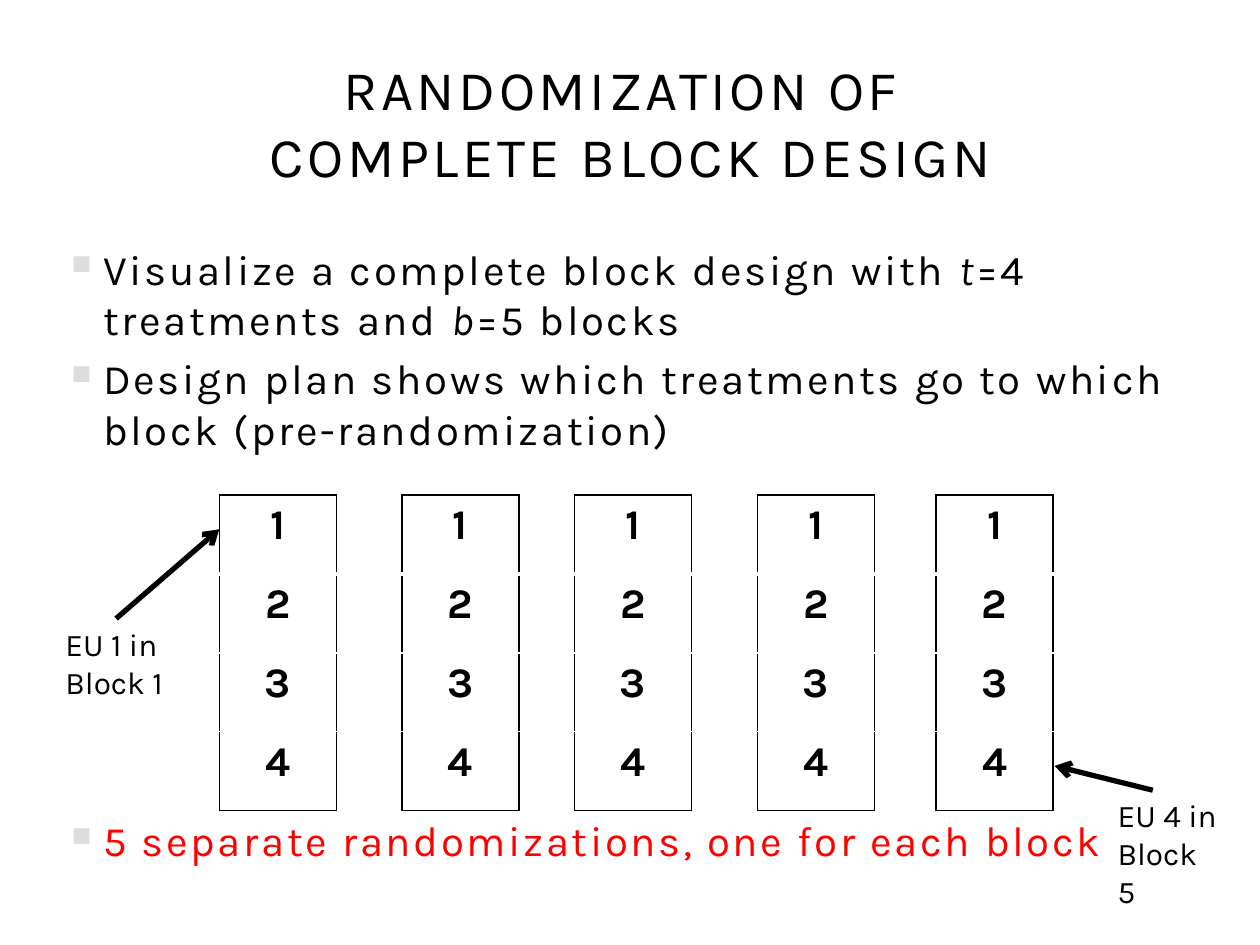
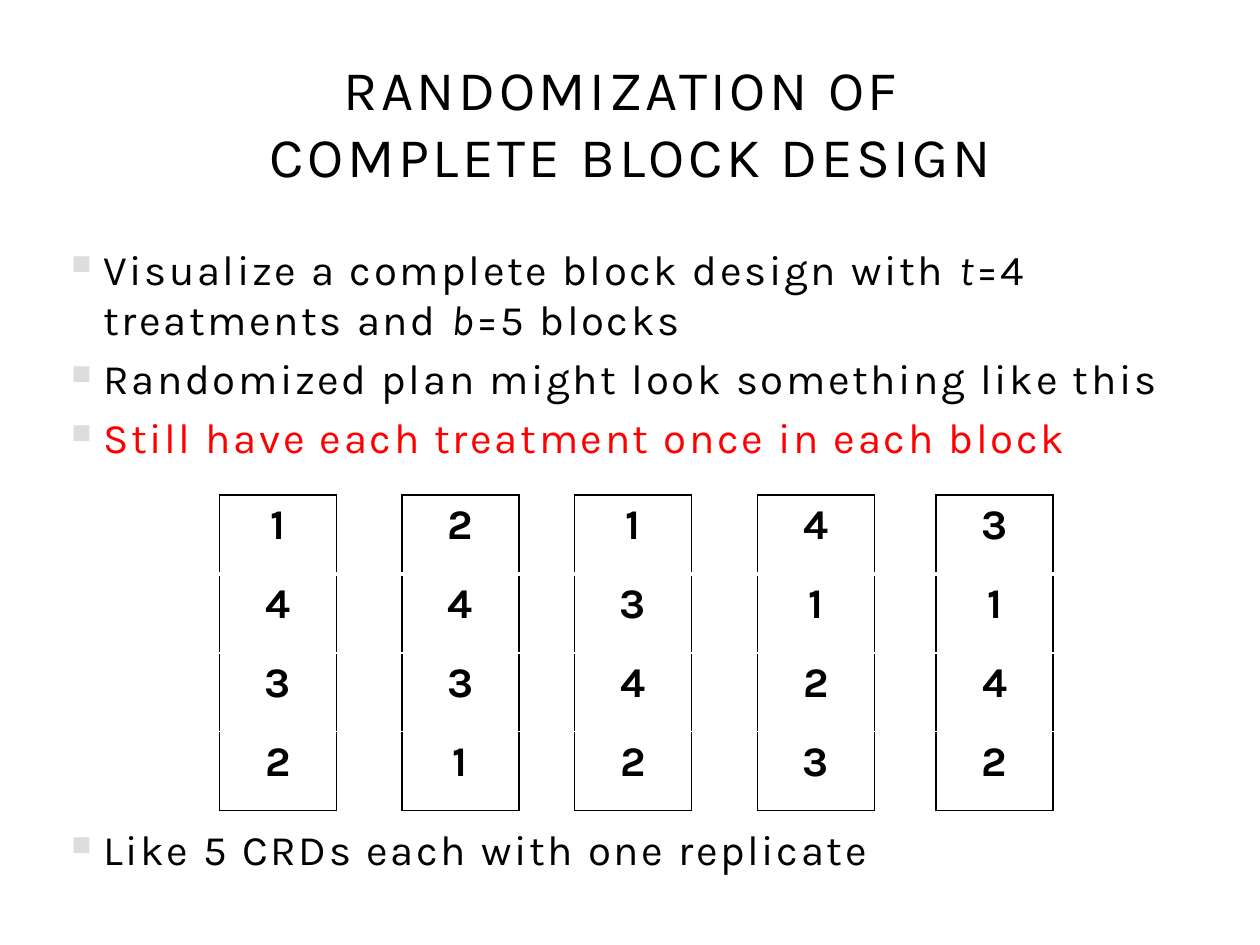
import pptx
import pptx.dml.color
import pptx.enum.shapes
import pptx.enum.text
import pptx.oxml
import pptx.oxml.ns
import pptx.util
import lxml.etree

Cm = pptx.util.Cm
Pt = pptx.util.Pt
qn = pptx.oxml.ns.qn

# Shared look
FONT = "Karla"
BLACK, WHITE, RED, BULLET_GREY = "000000", "FFFFFF", "FF0000", "DDDDDD"
TITLE = "RANDOMIZATION OF \vCOMPLETE BLOCK DESIGN"
MARGIN_LEFT = Cm(1.07)

# Block grid
BLOCK_LEFTS = [4.42, 8.1, 11.58, 15.27, 18.87]
BLOCK_TOP, BLOCK_WIDTH, UNIT_HEIGHT = 9.98, 2.36, 1.59
UNITS = 4

# Paragraphs are lists of (text, italic); the last one stands below the blocks
VISUALIZE = [("Visualize a complete block design with ", False), ("t", True),
             ("=4 treatments and ", False), ("b", True), ("=5 blocks", False)]
PLANS = [
    {
        "points": [
            (VISUALIZE, BLACK),
            ([("Design plan shows which treatments go to which block "
               "(pre-randomization)", False)], BLACK),
            ([("5 separate randomizations, one for each block", False)], RED),
        ],
        "blocks": ["1234"] * 5,
        # label lines, label left and top, arrow start and end
        "callouts": [
            ("EU 1 in\nBlock 1", (1.07, 12.47), (2.34, 12.47), (4.42, 10.67)),
            ("EU 4 in\nBlock 5", (22.28, 15.93), (23.24, 15.93), (21.26, 15.44)),
        ],
    },
    {
        "points": [
            (VISUALIZE, BLACK),
            ([("Randomized plan might look something like this", False)], BLACK),
            ([("Still have each treatment once in each block", False)], RED),
            ([("Like 5 CRDs each with one replicate", False)], BLACK),
        ],
        "blocks": ["1432", "2431", "1342", "4123", "3142"],
        "callouts": [],
    },
]


def rgb(hex_code):
    return pptx.dml.color.RGBColor.from_string(hex_code)


def style_run(run, size, color=BLACK, bold=False, italic=False, spacing=0):
    font = run.font
    font.name, font.size = FONT, Pt(size)
    font.bold, font.italic = bold, italic
    font.color.rgb = rgb(color)
    if spacing:
        run._r.get_or_add_rPr().set("spc", str(int(spacing * 100)))


deck = pptx.Presentation()
deck.slide_width, deck.slide_height = Cm(25.4), Cm(19.05)
title_only = deck.slide_layouts[5]

for plan in PLANS:
    slide = deck.slides.add_slide(title_only)

    # Title
    title = slide.shapes.title
    title.left, title.top = MARGIN_LEFT, Cm(0.99)
    title.width, title.height = Cm(23.29), Cm(2.92)
    title.fill.solid()
    title.fill.fore_color.rgb = rgb(WHITE)
    title.text_frame.text = TITLE
    title.text_frame.auto_size = pptx.enum.text.MSO_AUTO_SIZE.NONE
    title.text_frame.vertical_anchor = pptx.enum.text.MSO_ANCHOR.MIDDLE
    heading = title.text_frame.paragraphs[0]
    heading.alignment = pptx.enum.text.PP_ALIGN.CENTER
    for run in heading.runs:
        style_run(run, 32, spacing=2)

    # Bulleted points, with room for the blocks before the last one
    points = slide.shapes.add_textbox(MARGIN_LEFT, Cm(4.78), Cm(23.8), Cm(14.27))
    points.text_frame.word_wrap = True
    last = len(plan["points"]) - 1
    for index, (pieces, color) in enumerate(plan["points"]):
        frame = points.text_frame
        point = frame.add_paragraph() if index else frame.paragraphs[0]
        point.space_before = Pt(206.5 if index == last else 5)
        for text, italic in pieces:
            run = point.add_run()
            run.text = text
            style_run(run, 24, color, italic=italic, spacing=1.5)
        properties = point._p.get_or_add_pPr()
        properties.set("marL", str(Cm(0.76)))
        properties.set("indent", str(-Cm(0.64)))
        bullet_color = lxml.etree.SubElement(properties, qn("a:buClr"))
        lxml.etree.SubElement(bullet_color, qn("a:srgbClr"), val=BULLET_GREY)
        lxml.etree.SubElement(properties, qn("a:buSzPct"), val="65000")
        lxml.etree.SubElement(properties, qn("a:buChar"), char="■")

    # Blocks: one column of experimental units each
    for left, treatments in zip(BLOCK_LEFTS, plan["blocks"]):
        block = slide.shapes.add_table(
            UNITS, 1, Cm(left), Cm(BLOCK_TOP), Cm(BLOCK_WIDTH),
            Cm(UNIT_HEIGHT * UNITS)).table
        block.first_row = block.horz_banding = False
        for row, treatment in enumerate(treatments):
            block.rows[row].height = Cm(UNIT_HEIGHT)
            unit = block.cell(row, 0)
            unit.fill.background()
            unit.text_frame.text = treatment
            number = unit.text_frame.paragraphs[0]
            number.alignment = pptx.enum.text.PP_ALIGN.CENTER
            style_run(number.runs[0], 24, bold=True)

            # Black outline, white gaps between units, the first gap wider
            borders = [
                ("a:lnL", BLACK, 1),
                ("a:lnR", BLACK, 1),
                ("a:lnT", BLACK if row == 0 else WHITE, 3 if row == 1 else 1),
                ("a:lnB", BLACK if row == UNITS - 1 else WHITE, 3 if row == 0 else 1),
            ]
            cell_properties = unit._tc.get_or_add_tcPr()
            for position, (side, color, width) in enumerate(borders):
                border = lxml.etree.Element(qn(side), w=str(Pt(width)))
                border_fill = lxml.etree.SubElement(border, qn("a:solidFill"))
                lxml.etree.SubElement(border_fill, qn("a:srgbClr"), val=color)
                cell_properties.insert(position, border)

    # Callouts: a label and an arrow to its unit
    for text, corner, start, end in plan["callouts"]:
        label = slide.shapes.add_textbox(
            Cm(corner[0]), Cm(corner[1]), Cm(2.54), Cm(1.8))
        label.text_frame.word_wrap = True
        label.text_frame.auto_size = pptx.enum.text.MSO_AUTO_SIZE.SHAPE_TO_FIT_TEXT
        label.text_frame.text = text
        for line in label.text_frame.paragraphs:
            style_run(line.runs[0], 18)

        arrow = slide.shapes.add_connector(
            pptx.enum.shapes.MSO_CONNECTOR.STRAIGHT,
            Cm(start[0]), Cm(start[1]), Cm(end[0]), Cm(end[1]))
        arrow.line.color.rgb = rgb(BLACK)
        arrow.line.width = Pt(3)
        lxml.etree.SubElement(arrow.line._get_or_add_ln(), qn("a:tailEnd"), type="arrow")
        lxml.etree.SubElement(arrow._element.spPr, qn("a:effectLst"))

deck.save("out.pptx")
